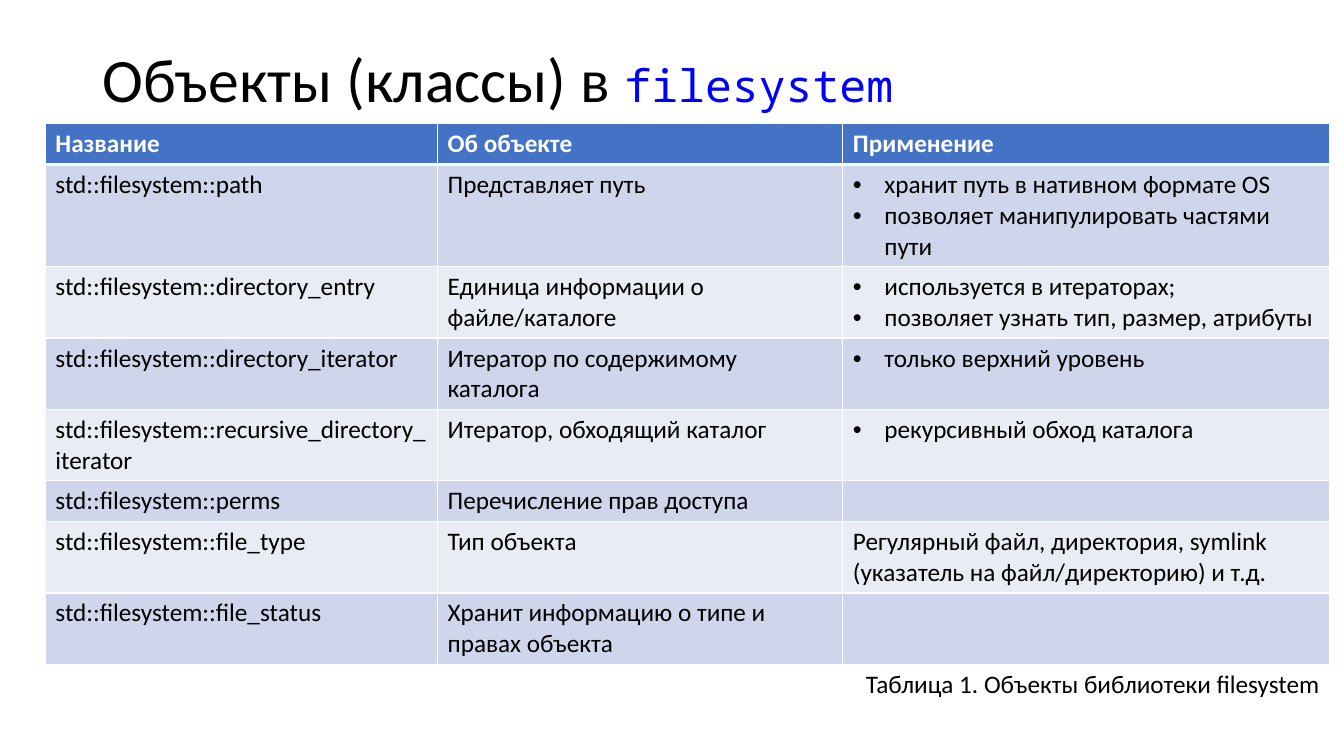
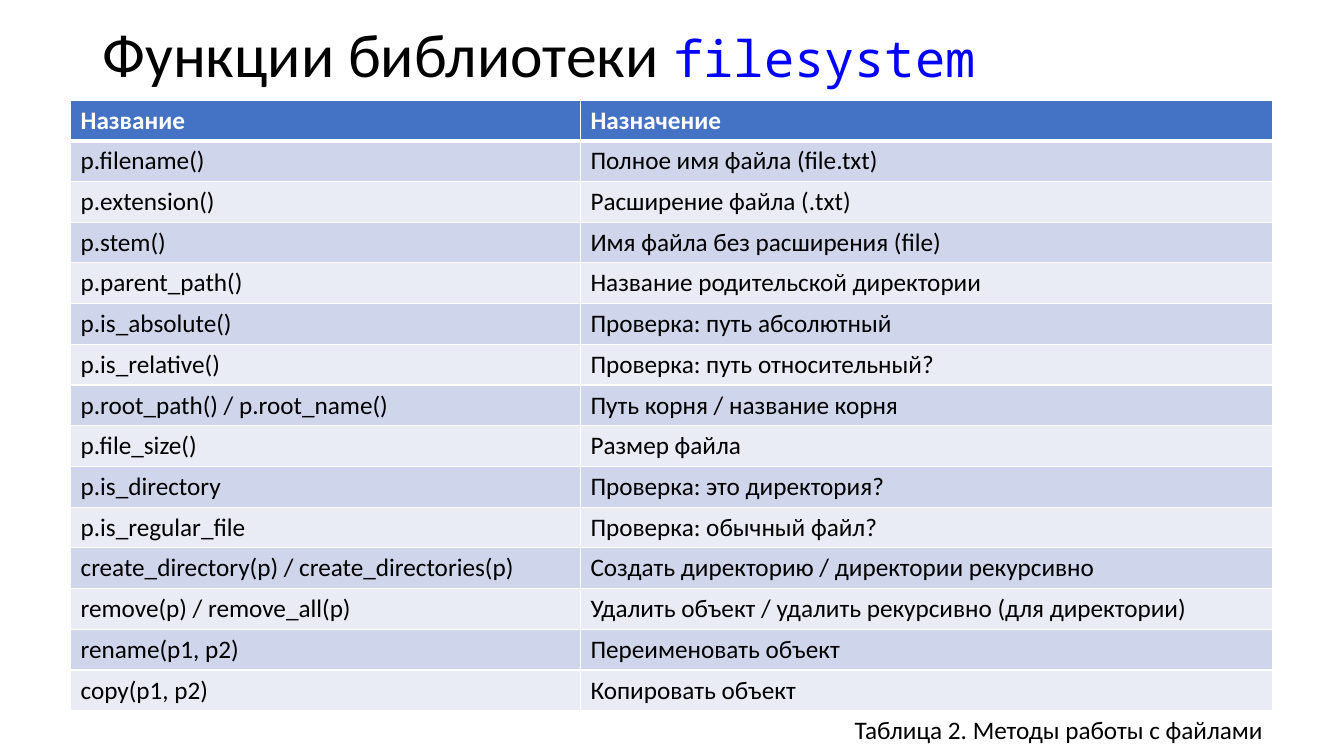
from dataclasses import dataclass
from typing import Any

from lxml import etree
from pptx import Presentation
from pptx import util as u
from pptx.dml.color import RGBColor
from pptx.enum import text
from pptx.oxml import ns

PX = 3810
SLIDE_WIDTH, SLIDE_HEIGHT = 3200, 1800
TITLE_LEFT, TITLE_WIDTH = 220, 2760
LINE_HEIGHT, CELL_PADDING = 73, 24
BULLET_INDENT = 75

BLACK = RGBColor(0x00, 0x00, 0x00)
WHITE = RGBColor(0xFF, 0xFF, 0xFF)
CODE_BLUE = RGBColor(0x00, 0x00, 0xFF)
HEADER_BLUE = RGBColor(0x44, 0x72, 0xC4)
BANDS = RGBColor(0xCF, 0xD5, 0xEA), RGBColor(0xE9, 0xEB, 0xF5)

TITLE_FORMAT = {"name": "Calibri", "size": u.Pt(44)}
CODE_FORMAT = {"name": "Noto Sans Mono"}
BODY_FORMAT = {"name": "Calibri", "size": u.Pt(18), "bold": False}
HEADER_FORMAT = BODY_FORMAT | {"bold": True}
TITLE_FRAME = {"word_wrap": True, "vertical_anchor": text.MSO_ANCHOR.MIDDLE}


@dataclass(frozen=True)
class Bullets:
    items: tuple[str, ...]


Content = str | Bullets


@dataclass(frozen=True)
class Row:
    cells: tuple[Content, ...]
    lines: int = 1


@dataclass(frozen=True)
class TableSlide:
    title: str
    code_size: int
    title_top: int
    title_height: int
    left: int
    top: int
    columns: tuple[int, ...]
    header: tuple[str, ...]
    rows: tuple[Row, ...]
    caption: str


OBJECTS = TableSlide(
    title="Объекты (классы) в ",
    code_size=32,
    title_top=96,
    title_height=199,
    left=108,
    top=295,
    columns=(934, 965, 1159),
    header=("Название", "Об объекте", "Применение"),
    rows=(
        Row(("std::filesystem::path", "Представляет путь",
             Bullets(("хранит путь в нативном формате OS",
                      "позволяет манипулировать частями пути"))), 3),
        Row(("std::filesystem::directory_entry", "Единица информации о файле/каталоге",
             Bullets(("используется в итераторах;",
                      "позволяет узнать тип, размер, атрибуты"))), 2),
        Row(("std::filesystem::directory_iterator", "Итератор по содержимому каталога",
             Bullets(("только верхний уровень",))), 2),
        Row(("std::filesystem::recursive_directory_iterator", "Итератор, обходящий каталог",
             Bullets(("рекурсивный обход каталога",))), 2),
        Row(("std::filesystem::perms", "Перечисление прав доступа", "")),
        Row(("std::filesystem::file_type", "Тип объекта",
             "Регулярный файл, директория, symlink (указатель на файл/директорию) и т.д."), 2),
        Row(("std::filesystem::file_status", "Хранит информацию о типе и правах объекта", ""), 2),
    ),
    caption="Таблица 1. Объекты библиотеки filesystem",
)

FUNCTIONS = TableSlide(
    title="Функции библиотеки ",
    code_size=36,
    title_top=34,
    title_height=204,
    left=168,
    top=238,
    columns=(1214, 1649),
    header=("Название", "Назначение"),
    rows=tuple(Row(cells) for cells in (
        ("p.filename()", "Полное имя файла (file.txt)"),
        ("p.extension()", "Расширение файла (.txt)"),
        ("p.stem()", "Имя файла без расширения (file)"),
        ("p.parent_path()", "Название родительской директории"),
        ("p.is_absolute()", "Проверка: путь абсолютный"),
        ("p.is_relative()", "Проверка: путь относительный?"),
        ("p.root_path() / p.root_name()", "Путь корня / название корня"),
        ("p.file_size()", "Размер файла"),
        ("p.is_directory", "Проверка: это директория?"),
        ("p.is_regular_file", "Проверка: обычный файл?"),
        ("create_directory(p) / create_directories(p)",
         "Создать директорию / директории рекурсивно"),
        ("remove(p) / remove_all(p)", "Удалить объект / удалить рекурсивно (для директории)"),
        ("rename(p1, p2)", "Переименовать объект"),
        ("copy(p1, p2)", "Копировать объект"),
    )),
    caption="Таблица 2. Методы работы с файлами",
)


def px(length: int) -> u.Emu:
    return u.Emu(length * PX)


def apply(target: Any, values: dict[str, Any]) -> None:
    for attribute, value in values.items():
        setattr(target, attribute, value)


def add_run(paragraph: Any, wording: str, values: dict[str, Any], color: RGBColor) -> None:
    run = paragraph.add_run()
    run.text = wording
    apply(run.font, values)
    run.font.color.rgb = color


def add_bullet(paragraph: Any) -> None:
    properties = paragraph._p.get_or_add_pPr()
    properties.set("marL", str(px(BULLET_INDENT)))
    properties.set("indent", str(-px(BULLET_INDENT)))
    etree.SubElement(properties, ns.qn("a:buFont"), typeface="Arial")
    etree.SubElement(properties, ns.qn("a:buChar"), char="•")


def set_borders(cell: Any, top: int, bottom: int) -> None:
    properties = cell._tc.get_or_add_tcPr()
    widths = {"a:lnL": 1, "a:lnR": 1, "a:lnT": top, "a:lnB": bottom}
    for position, (side, width) in enumerate(widths.items()):
        border = etree.Element(ns.qn(side), w=str(u.Pt(width)))
        fill = etree.SubElement(border, ns.qn("a:solidFill"))
        etree.SubElement(fill, ns.qn("a:srgbClr"), val=str(WHITE))
        properties.insert(position, border)


def fill_cell(cell: Any, content: Content, values: dict[str, Any],
              color: RGBColor, background: RGBColor) -> None:
    cell.fill.solid()
    cell.fill.fore_color.rgb = background
    bulleted = isinstance(content, Bullets)
    items = content.items if bulleted else (content,)
    frame = cell.text_frame
    for index, item in enumerate(items):
        paragraph = frame.add_paragraph() if index else frame.paragraphs[0]
        if bulleted:
            add_bullet(paragraph)
        if item:
            add_run(paragraph, item, values, color)


def draw_title(slide: Any, page: TableSlide) -> None:
    title = slide.shapes.add_textbox(
        px(TITLE_LEFT), px(page.title_top), px(TITLE_WIDTH), px(page.title_height))
    apply(title.text_frame, TITLE_FRAME)
    paragraph = title.text_frame.paragraphs[0]
    paragraph.line_spacing = 0.9
    add_run(paragraph, page.title, TITLE_FORMAT, BLACK)
    add_run(paragraph, "filesystem", CODE_FORMAT | {"size": u.Pt(page.code_size)}, CODE_BLUE)


def draw_table(slide: Any, page: TableSlide) -> None:
    caption = Row(("",) * (len(page.columns) - 1) + (page.caption,))
    rows = (Row(page.header), *page.rows, caption)
    heights = [row.lines * LINE_HEIGHT + CELL_PADDING for row in rows]
    table = slide.shapes.add_table(
        len(rows), len(page.columns), px(page.left), px(page.top),
        px(sum(page.columns)), px(sum(heights))).table
    apply(table, {"first_row": True, "horz_banding": False})
    for column, width in zip(table.columns, page.columns):
        column.width = px(width)
    for index, (row, height) in enumerate(zip(rows, heights)):
        table.rows[index].height = px(height)
        values, color, background = BODY_FORMAT, BLACK, BANDS[(index - 1) % 2]
        if index == 0:
            values, color, background = HEADER_FORMAT, WHITE, HEADER_BLUE
        elif row is caption:
            background = WHITE
        for cell, content in zip(table.rows[index].cells, row.cells):
            fill_cell(cell, content, values, color, background)
            set_borders(cell, top=3 if index == 1 else 1, bottom=3 if index == 0 else 1)
    caption_cell = table.cell(len(rows) - 1, len(page.columns) - 1)
    caption_cell.text_frame.paragraphs[0].alignment = text.PP_ALIGN.RIGHT


def main() -> None:
    deck = Presentation()
    apply(deck, {"slide_width": px(SLIDE_WIDTH), "slide_height": px(SLIDE_HEIGHT)})
    for page in (OBJECTS, FUNCTIONS):
        slide = deck.slides.add_slide(deck.slide_layouts[6])
        draw_title(slide, page)
        draw_table(slide, page)
    deck.save("out.pptx")


if __name__ == "__main__":
    main()
